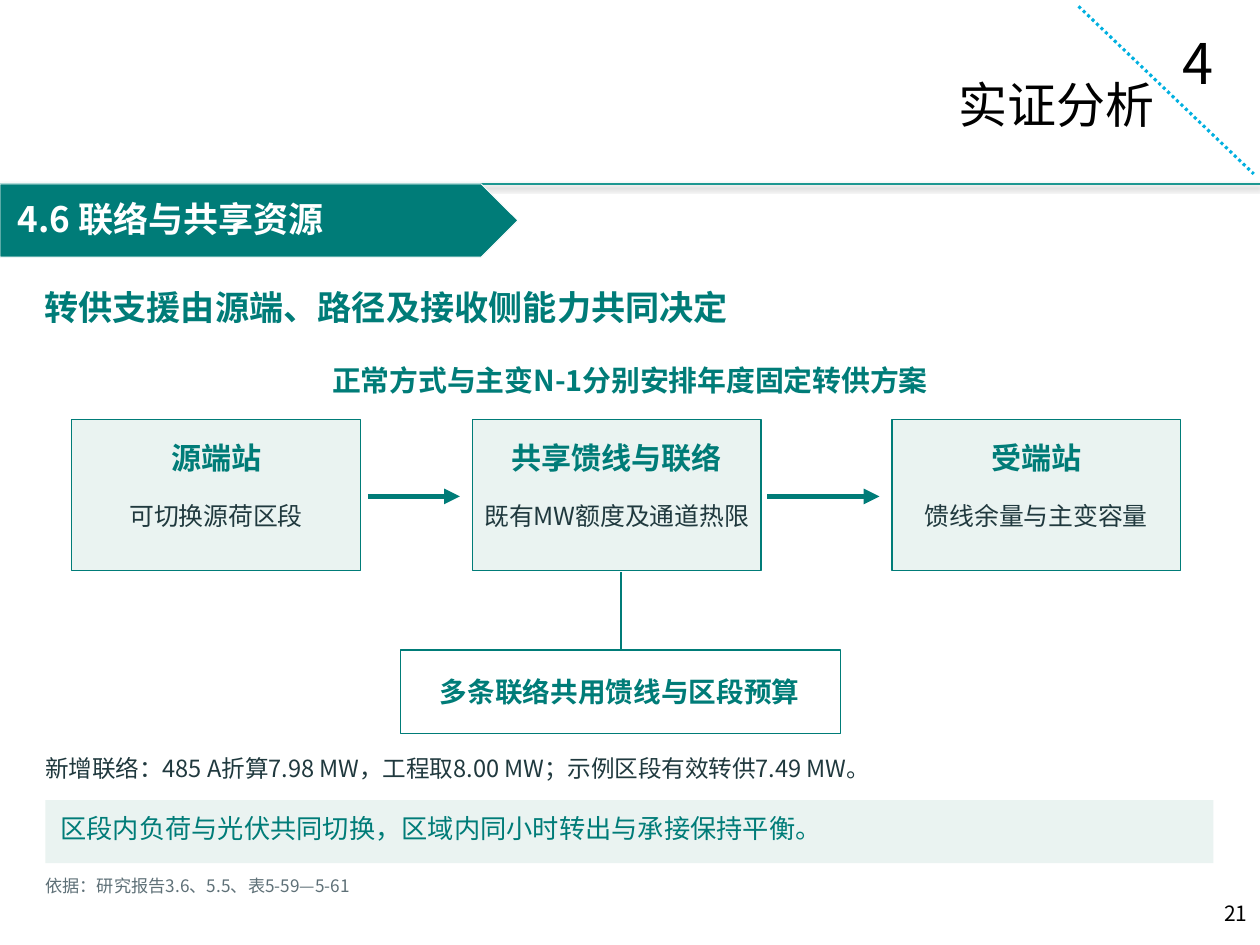
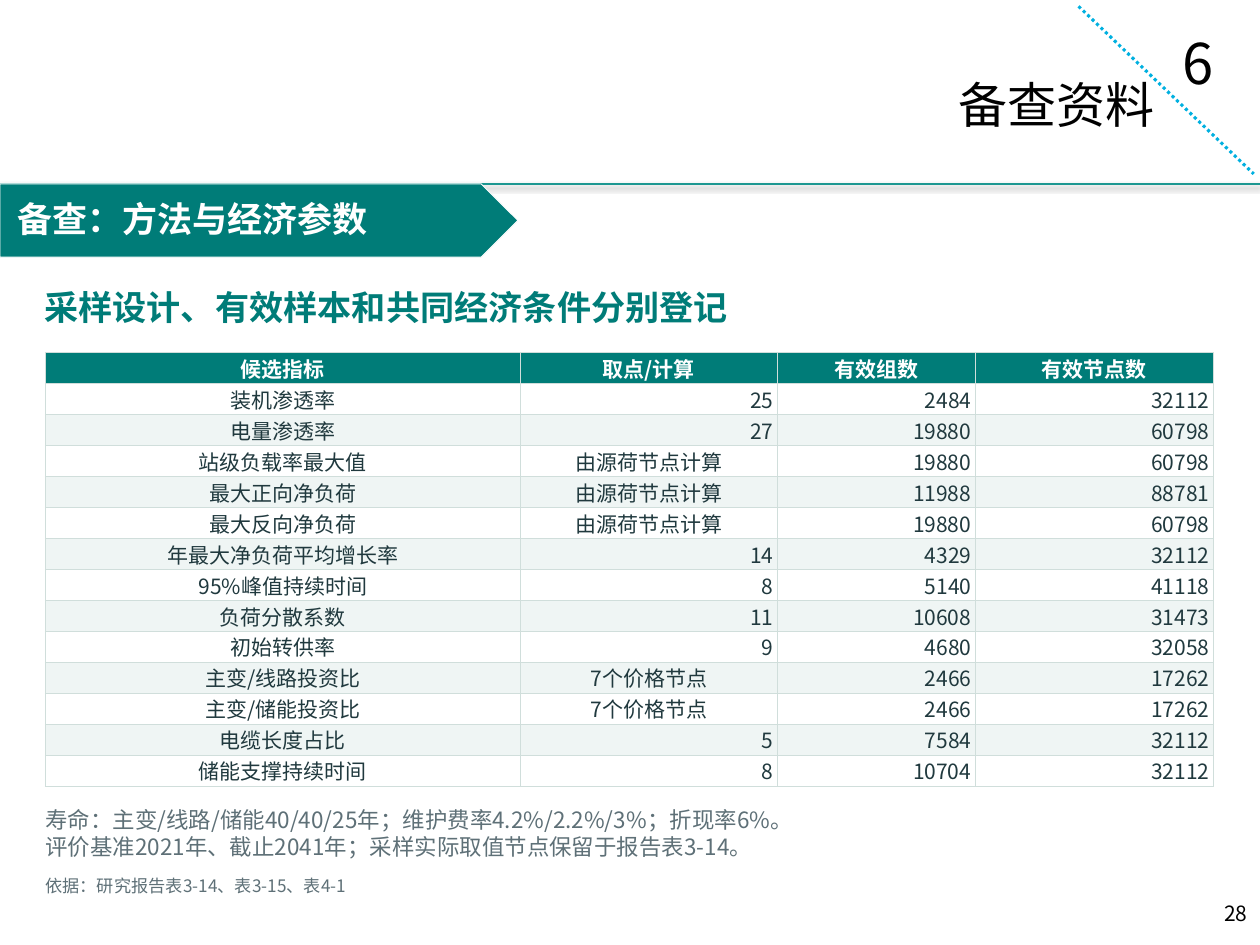
from lxml import etree
from pptx import Presentation
from pptx.dml.color import RGBColor
from pptx.enum.dml import MSO_LINE
from pptx.enum.shapes import MSO_CONNECTOR, MSO_SHAPE
from pptx.enum.text import MSO_ANCHOR, MSO_AUTO_SIZE, PP_ALIGN
from pptx.oxml import parse_xml
from pptx.oxml.ns import nsdecls, qn
from pptx.util import Inches, Pt

LEFT, CENTER, RIGHT = PP_ALIGN.LEFT, PP_ALIGN.CENTER, PP_ALIGN.RIGHT
TOP, MIDDLE = MSO_ANCHOR.TOP, MSO_ANCHOR.MIDDLE
FIXED, GROW = MSO_AUTO_SIZE.NONE, MSO_AUTO_SIZE.SHAPE_TO_FIT_TEXT
RECTANGLE, PENTAGON = MSO_SHAPE.RECTANGLE, MSO_SHAPE.PENTAGON
STRAIGHT, DOTTED = MSO_CONNECTOR.STRAIGHT, MSO_LINE.ROUND_DOT

FONT = "Noto Sans CJK SC"
TEAL, MINT, INK, GREY = "007C78", "EAF3F1", "20393E", "5E7077"
BLACK, WHITE = "000000", "FFFFFF"
RULE, DIAGONAL, GRID, STRIPE = "1C9791", "00B0E0", "D0DEDB", "EFF5F4"
rgb = RGBColor.from_string


def write(frame, text, size, color, bold=False, align=LEFT):
    frame.text = text
    paragraph = frame.paragraphs[0]
    paragraph.alignment = align
    run = paragraph.runs[0]
    run.font.size = Pt(size)
    run.font.bold = bold
    run.font.color.rgb = rgb(color)
    run.font.name = FONT
    etree.SubElement(run.font._element, qn("a:ea"), typeface=FONT)


def draw_line(slide, start, end, color, width):
    line = slide.shapes.add_connector(STRAIGHT, *map(Inches, start + end))
    line.line.color.rgb = rgb(color)
    line.line.width = Pt(width)
    etree.SubElement(line._element.spPr, qn("a:effectLst"))
    return line


prs = Presentation()
prs.slide_width, prs.slide_height = Inches(10), Inches(7.5)

pages = [
    ("4", "实证分析", "21", "4.6 联络与共享资源", "转供支援由源端、路径及接收侧能力共同决定",
     "依据：研究报告3.6、5.5、表5-59—5-61"),
    ("6", "备查资料", "28", "备查：方法与经济参数", "采样设计、有效样本和共同经济条件分别登记",
     "依据：研究报告表3-14、表3-15、表4-1"),
]
slides = []
for chapter, chapter_title, number, section, message, source in pages:
    slide = prs.slides.add_slide(prs.slide_layouts[5])
    slides.append(slide)

    header_rule = draw_line(slide, (0, 1.46), (10, 1.46), RULE, 1.5)
    header_rule._element.spPr.find(qn("a:effectLst")).append(parse_xml(
        f'<a:outerShdw {nsdecls("a")} blurRad="39370" dist="22860" dir="5400000" rotWithShape="0">'
        '<a:srgbClr val="000000"><a:alpha val="35000"/></a:srgbClr></a:outerShdw>'))
    draw_line(slide, (8.56, 0.05), (9.95, 1.38), DIAGONAL, 1.75).line.dash_style = DOTTED

    banner = slide.shapes.add_shape(PENTAGON, 0, Inches(1.46), Inches(4.11), Inches(0.58))
    banner.shadow.inherit = False
    banner.fill.solid()
    banner.fill.fore_color.rgb = rgb(TEAL)
    banner.line.color.rgb = rgb(WHITE)
    banner.line.width = Pt(0.5)

    title = slide.shapes.title
    title.left, title.top, title.width, title.height = map(Inches, (4.98, 0.54, 4.28, 0.57))
    header_parts = [
        (title, chapter_title, 28, BLACK, False, RIGHT),
        (slide.shapes.add_textbox(*map(Inches, (9.29, 0.18, 0.34, 0.64))),
         chapter, 32, BLACK, False, LEFT),
        (slide.shapes.add_textbox(*map(Inches, (7.75, 7.1, 2.25, 0.4))),
         number, 12, BLACK, False, RIGHT),
        (slide.shapes.add_textbox(*map(Inches, (0.04, 1.52, 3.8, 0.44))),
         section, 20, WHITE, True, LEFT),
    ]
    for part, text, size, color, bold, align in header_parts:
        frame = part.text_frame
        frame.auto_size, frame.word_wrap = FIXED, False
        frame.vertical_anchor = TOP
        frame.margin_left = Inches(0.1 if align == LEFT else 0)
        frame.margin_right = Inches(0.1 if align == RIGHT else 0)
        frame.margin_top, frame.margin_bottom = Inches(0.05), 0
        write(frame, text, size, color, bold, align)

transfer, parameters = slides

stations = [
    (0.57, "源端站", 0.78, "可切换源荷区段", 1.48),
    (3.75, "共享馈线与联络", 1.79, "既有MW额度及通道热限", 2.23),
    (7.08, "受端站", 0.78, "馈线余量与主变容量", 1.9),
]
station_width, station_top, station_height = 2.29, 3.33, 1.2
panels = [(3.18, 5.16, 3.49, 0.66, WHITE, TEAL), (0.36, 6.35, 9.27, 0.5, MINT, None)]
transfer_labels = [
    (2.46, 2.88, 5.08, 0.35, "正常方式与主变N-1分别安排年度固定转供方案", 16.5, TEAL, True, CENTER),
    (3.4, 5.36, 3.04, 0.34, "多条联络共用馈线与区段预算", 15.8, TEAL, True, CENTER),
    (0.36, 5.98, 7.23, 0.29, "新增联络：485 A折算7.98 MW，工程取8.00 MW；示例区段有效转供7.49 MW。",
     13.5, INK, False, LEFT),
    (0.48, 6.45, 6.42, 0.32, "区段内负荷与光伏共同切换，区域内同小时转出与承接保持平衡。",
     15, TEAL, False, LEFT),
]
for left, name, name_width, limit, limit_width in stations:
    middle = left + station_width / 2
    panels.append((left, station_top, station_width, station_height, MINT, TEAL))
    transfer_labels += [
        (middle - name_width / 2, 3.49, name_width, 0.37, name, 17.2, TEAL, True, CENTER),
        (middle - limit_width / 2, 3.97, limit_width, 0.3, limit, 14.2, INK, False, CENTER),
    ]

for left, top, width, height, fill, outline in panels:
    panel = transfer.shapes.add_shape(RECTANGLE, *map(Inches, (left, top, width, height)))
    panel.shadow.inherit = False
    panel.fill.solid()
    panel.fill.fore_color.rgb = rgb(fill)
    if outline:
        panel.line.color.rgb = rgb(outline)
        panel.line.width = Pt(0.75)
    else:
        panel.line.fill.background()

for start, end in ((2.92, 3.65), (6.09, 6.98)):
    flow = draw_line(transfer, (start, 3.94), (end, 3.94), TEAL, 3)
    etree.SubElement(flow.line._get_or_add_ln(), qn("a:tailEnd"), type="triangle", w="med", len="med")
draw_line(transfer, (4.93, 4.54), (4.93, 5.16), TEAL, 1.5)

indicators = [
    ("候选指标", "取点/计算", "有效组数", "有效节点数"),
    ("装机渗透率", "25", "2484", "32112"),
    ("电量渗透率", "27", "19880", "60798"),
    ("站级负载率最大值", "由源荷节点计算", "19880", "60798"),
    ("最大正向净负荷", "由源荷节点计算", "11988", "88781"),
    ("最大反向净负荷", "由源荷节点计算", "19880", "60798"),
    ("年最大净负荷平均增长率", "14", "4329", "32112"),
    ("95%峰值持续时间", "8", "5140", "41118"),
    ("负荷分散系数", "11", "10608", "31473"),
    ("初始转供率", "9", "4680", "32058"),
    ("主变/线路投资比", "7个价格节点", "2466", "17262"),
    ("主变/储能投资比", "7个价格节点", "2466", "17262"),
    ("电缆长度占比", "5", "7584", "32112"),
    ("储能支撑持续时间", "8", "10704", "32112"),
]
table = parameters.shapes.add_table(
    len(indicators), 4, *map(Inches, (0.36, 2.8, 9.27, 3.44))).table
table.horz_banding = False
for column, width in zip(table.columns, (3.77, 2.04, 1.57, 1.89)):
    column.width = Inches(width)
for row_index, values in enumerate(indicators):
    heading = row_index == 0
    fill = TEAL if heading else (STRIPE, WHITE)[row_index % 2]
    for column_index, value in enumerate(values):
        cell = table.cell(row_index, column_index)
        cell.margin_left = cell.margin_right = Inches(0.03)
        cell.margin_top = cell.margin_bottom = 0
        cell.vertical_anchor = MIDDLE
        write(cell.text_frame, value, 12, WHITE if heading else INK, heading,
              RIGHT if value.isdigit() else CENTER)
        properties = cell._tc.get_or_add_tcPr()
        for side in ("lnL", "lnR", "lnT", "lnB"):
            properties.append(parse_xml(
                f'<a:{side} {nsdecls("a")} w="5715"><a:solidFill>'
                f'<a:srgbClr val="{GRID}"/></a:solidFill></a:{side}>'))
        cell.fill.solid()
        cell.fill.fore_color.rgb = rgb(fill)

parameter_labels = [
    (0.36, 6.4, 6.42, 0.27, "寿命：主变/线路/储能40/40/25年；维护费率4.2%/2.2%/3%；折现率6%。",
     12.8, GREY, False, LEFT),
    (0.36, 6.61, 5.97, 0.27, "评价基准2021年、截止2041年；采样实际取值节点保留于报告表3-14。",
     12.8, GREY, False, LEFT),
]
for slide, page, labels in zip(slides, pages, (transfer_labels, parameter_labels)):
    message, source = page[-2:]
    shared_labels = [
        (0.35, 2.27, 5.76, 0.42, message, 19.5, TEAL, True, LEFT),
        (0.36, 6.95, 2.63, 0.21, source, 9.8, GREY, False, LEFT),
    ]
    for left, top, width, height, text, size, color, bold, align in shared_labels + labels:
        frame = slide.shapes.add_textbox(*map(Inches, (left, top, width, height))).text_frame
        frame.margin_left = frame.margin_right = frame.margin_top = frame.margin_bottom = 0
        frame.auto_size, frame.word_wrap = GROW, False
        write(frame, text, size, color, bold, align)

prs.save("out.pptx")
